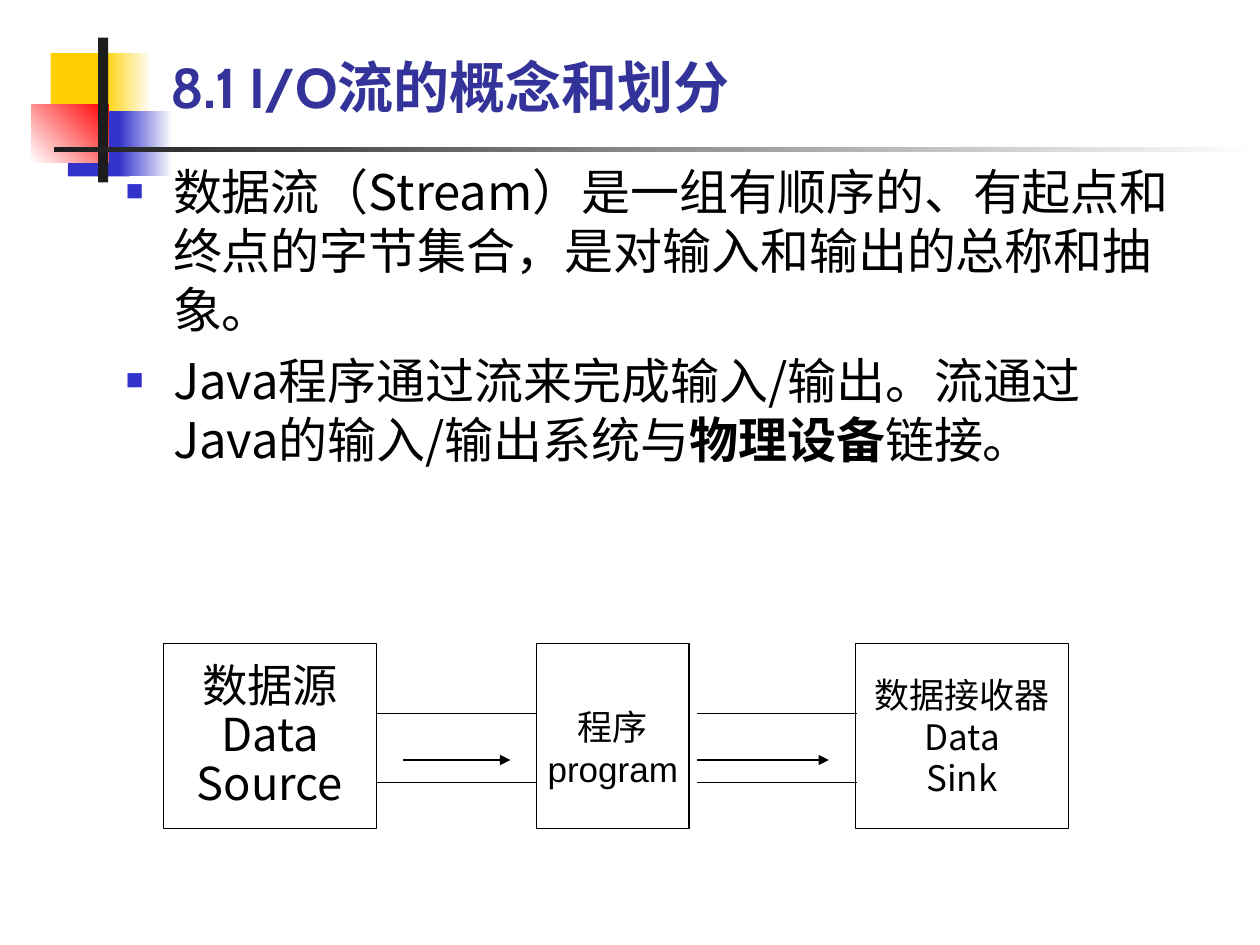
from lxml import etree
from pptx import Presentation
from pptx.dml.color import RGBColor
from pptx.enum.shapes import MSO_CONNECTOR, MSO_SHAPE
from pptx.enum.text import MSO_ANCHOR, PP_ALIGN
from pptx.oxml.ns import qn
from pptx.util import Cm, Pt

RECT = MSO_SHAPE.RECTANGLE
LINE = MSO_CONNECTOR.STRAIGHT
MID, LOW, TOP = MSO_ANCHOR.MIDDLE, MSO_ANCHOR.BOTTOM, MSO_ANCHOR.TOP
LEFT, CENTER = PP_ALIGN.LEFT, PP_ALIGN.CENTER
SANS = "Noto Sans CJK SC"
BLACK, WHITE, BLUE, GOLD = "000000", "FFFFFF", "3333CC", "FFCF01"


def color(code):
    """Turn a hex string into a colour."""
    return RGBColor.from_string(code)


def apply(obj, vals):
    """Set every attribute named in a dict of format values."""
    for key, val in vals.items():
        setattr(obj, key, val)


def child(node, tag, **vals):
    """Append an XML element with its attributes."""
    return etree.SubElement(node, qn(tag), vals)


def block(slide, left, top, width, height):
    """Add a plain rectangle without shadow."""
    shape = slide.shapes.add_shape(RECT, Cm(left), Cm(top), Cm(width), Cm(height))
    shape.shadow.inherit = False
    return shape


def write(para, text, face, size, tint=BLACK, bold=False):
    """Add one run of text with its font."""
    run = para.add_run()
    run.text = text
    apply(run.font, {"name": face, "size": Pt(size), "bold": bold})
    run.font.color.rgb = color(tint)
    child(run.font._element, "a:ea", typeface=SANS)


def emblem(slide, left, top):
    """Draw the coloured squares, the bar and the fading rule."""
    parts = [
        (0.38, 0.31, 1.3, 1.32, (GOLD,), 0),
        (1.44, 0.31, 0.97, 1.32, (GOLD, WHITE), 0),
        (0.73, 1.48, 1.24, 1.32, (BLUE,), 0),
        (1.75, 1.48, 1.09, 1.32, (BLUE, WHITE), 0),
        (0, 1.35, 1.55, 1.17, (WHITE, "FF0000"), 45),
        (1.34, 0, 0.2, 2.92, ("1C1C1C",), 0),
        (0.45, 2.21, 24.31, 0.1, ("1C1C1C", WHITE), 0),
    ]
    for x, y, width, height, tints, angle in parts:
        shape = block(slide, left + x, top + y, width, height)
        shape.line.fill.background()
        if len(tints) == 1:
            shape.fill.solid()
            shape.fill.fore_color.rgb = color(tints[0])
            continue
        shape.fill.gradient()
        shape.fill.gradient_angle = angle
        for stop, tint in zip(shape.fill.gradient_stops, tints):
            stop.color.rgb = color(tint)


def panel(slide, left, top, width, height, anchor):
    """Add a wrapping text box and return its frame."""
    box = slide.shapes.add_textbox(Cm(left), Cm(top), Cm(width), Cm(height))
    apply(box.text_frame, {"word_wrap": True, "vertical_anchor": anchor})
    return box.text_frame


def title(slide, left, top, width, height):
    """Write the slide title."""
    frame = panel(slide, left, top, width, height, LOW)
    write(frame.paragraphs[0], "8.1 I/O流的概念和划分", "Cabin", 32, "333399", True)


def body(slide, left, top, width, height):
    """Write the bulleted text."""
    frame = panel(slide, left, top, width, height, TOP)
    items = [
        [("数据流（Stream）是一组有顺序的、有起点和终点的字节集合，是对输入和输出的总称和抽象。", False)],
        [
            ("Java程序通过流来完成输入/输出。流通过Java的输入/输出系统与", False),
            ("物理设备", True),
            ("链接。", False),
        ],
    ]
    for num, runs in enumerate(items):
        para = frame.add_paragraph() if num else frame.paragraphs[0]
        props = para._p.get_or_add_pPr()
        apply_indent = {"marL": str(Cm(0.95)), "indent": str(-Cm(0.95))}
        for key, val in apply_indent.items():
            props.set(key, val)
        child(child(props, "a:buClr"), "a:srgbClr", val=BLUE)
        child(props, "a:buSzPct", val="60000")
        child(props, "a:buFont", typeface="Arial")
        child(props, "a:buChar", char="■")
        space = Pt(7 if num else 0)
        apply(para, {"alignment": LEFT, "line_spacing": Pt(33.7), "space_before": space})
        for text, bold in runs:
            write(para, text, SANS, 28, bold=bold)


def node(slide, left, top, width, height, lines, face, size, pitch, inset):
    """Draw one outlined box with centred lines of text."""
    shape = block(slide, left, top, width, height)
    shape.fill.background()
    shape.line.color.rgb = color(BLACK)
    shape.line.width = Pt(0.75)
    frame = shape.text_frame
    apply(frame, {
        "word_wrap": True, "vertical_anchor": MID,
        "margin_left": Cm(0.2), "margin_right": Cm(0.2),
        "margin_top": Cm(inset), "margin_bottom": Cm(0.1),
    })
    for num, text in enumerate(lines):
        para = frame.add_paragraph() if num else frame.paragraphs[0]
        apply(para, {"alignment": CENTER, "line_spacing": Pt(pitch)})
        write(para, text, face, size)


def link(slide, start, end, top, arrow=False):
    """Draw a level line, with an arrowhead if asked."""
    line = slide.shapes.add_connector(LINE, Cm(start), Cm(top), Cm(end), Cm(top))
    line.line.color.rgb = color(BLACK)
    line.line.width = Pt(0.75)
    if arrow:
        child(line.line._get_or_add_ln(), "a:tailEnd", type="triangle")
    child(line._element.spPr, "a:effectLst")


def flow(slide, left, top, height):
    """Draw the source, program and sink with the streams between."""
    nodes = [
        (0, 4.29, ("数据源", "Data", "Source"), SANS, 25.9, 28, 0.1),
        (7.52, 3.07, ("程序", "program"), "Arial", 20, 24, 0.53),
        (13.95, 4.29, ("数据接收器", "Data", "Sink"), SANS, 20, 23.8, 0.1),
    ]
    for x, width, *style in nodes:
        node(slide, left + x, top, width, height, *style)
    for start, tail, head in ((4.29, 4.83, 6.99), (10.75, 10.75, 13.41)):
        for y in (1.4, 2.79):
            link(slide, left + start, left + start + 3.23, top + y)
        link(slide, left + tail, left + head, top + 2.34, True)


def main():
    """Build the slide and save it."""
    deck = Presentation()
    apply(deck, {"slide_width": Cm(25.4), "slide_height": Cm(19.05)})
    slide = deck.slides.add_slide(deck.slide_layouts[6])
    emblem(slide, 0.64, 0.76)
    title(slide, 3.18, 0.64, 17.12, 1.9)
    body(slide, 2.29, 3.12, 21.59, 8.92)
    flow(slide, 3.3, 12.98, 3.73)
    deck.save("out.pptx")


if __name__ == "__main__":
    main()
